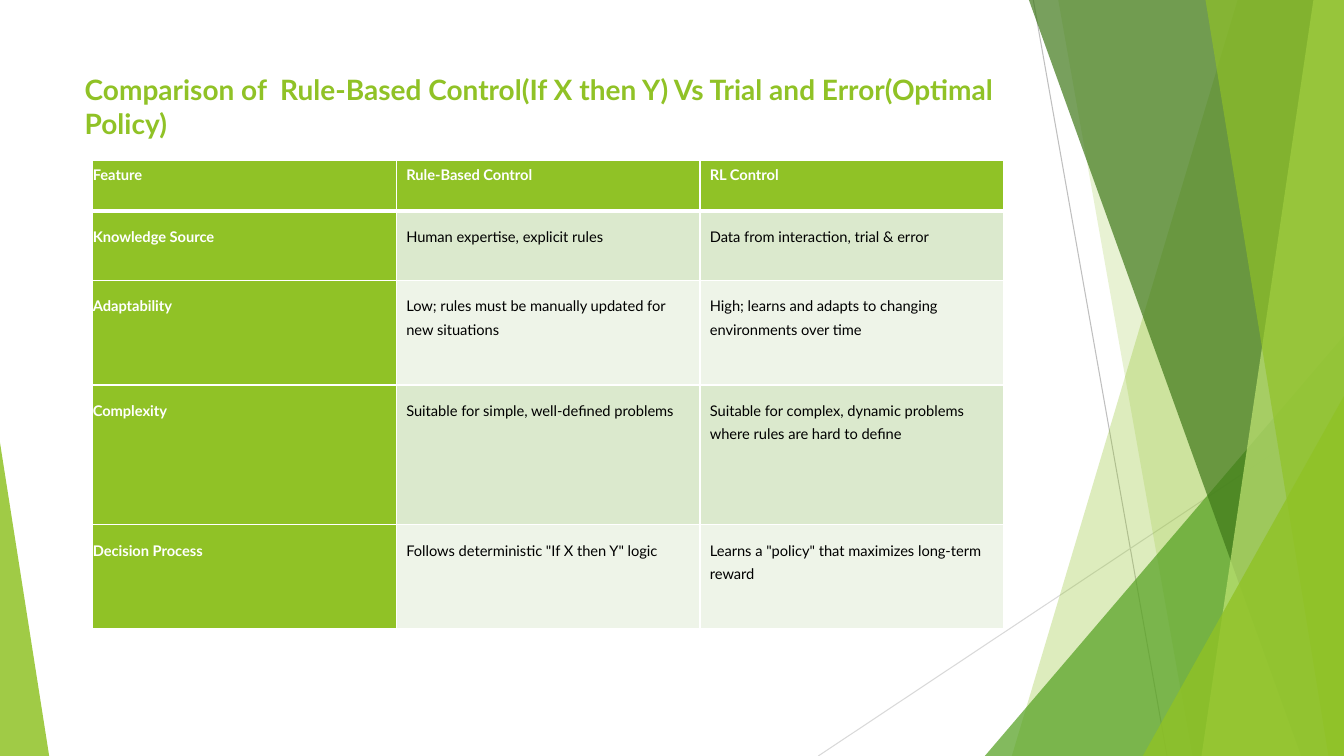
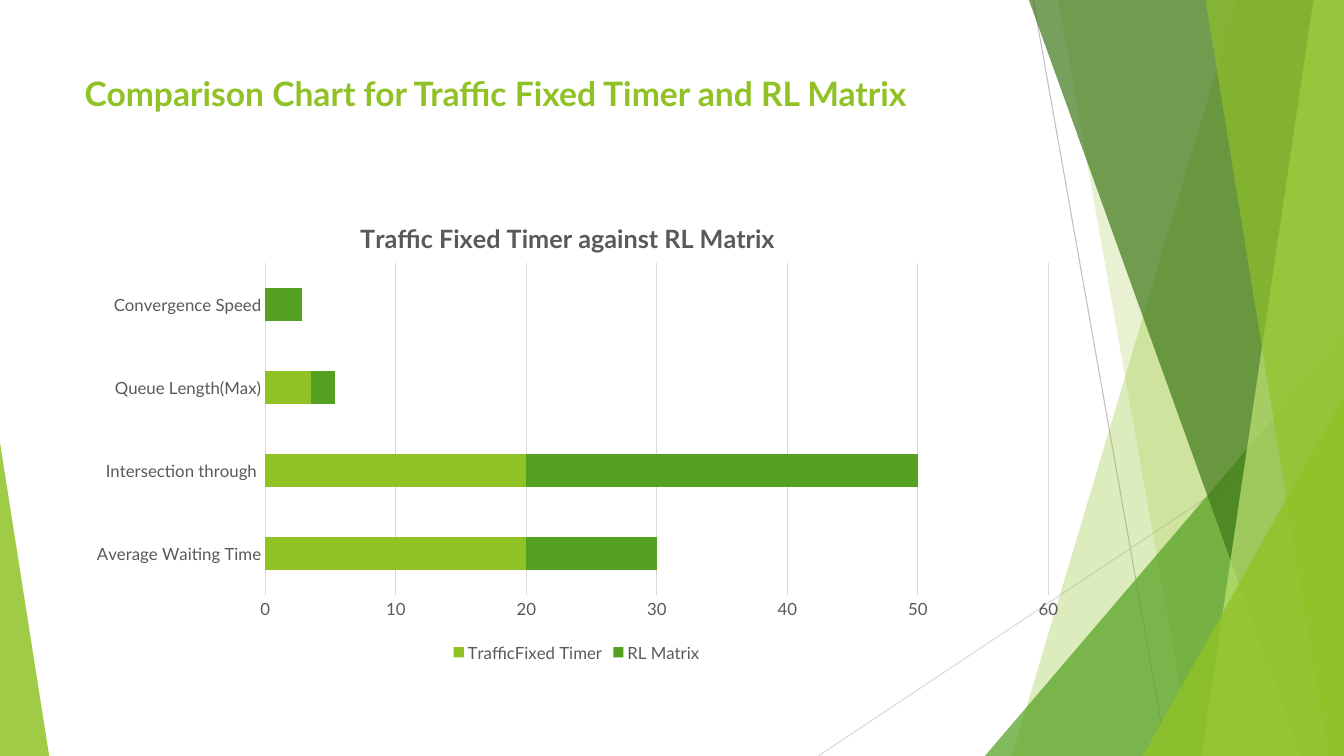
from lxml import etree
from pptx import Presentation
from pptx.chart.data import CategoryChartData
from pptx.dml.color import RGBColor
from pptx.enum.chart import XL_CHART_TYPE, XL_LEGEND_POSITION, XL_TICK_MARK
from pptx.enum.shapes import MSO_CONNECTOR, MSO_SHAPE
from pptx.enum.text import MSO_ANCHOR, MSO_AUTO_SIZE, PP_ALIGN
from pptx.oxml.ns import qn
from pptx.util import Cm, Pt

BAR_STACKED = XL_CHART_TYPE.BAR_STACKED
BOTTOM = XL_LEGEND_POSITION.BOTTOM
NO_TICK = XL_TICK_MARK.NONE
STRAIGHT = MSO_CONNECTOR.STRAIGHT
TRIANGLE = MSO_SHAPE.ISOSCELES_TRIANGLE
TOP = MSO_ANCHOR.TOP
LEFT = PP_ALIGN.LEFT
NO_AUTOFIT = MSO_AUTO_SIZE.NONE


class Theme:
    font = "Lato"
    lime = RGBColor.from_string("90C226")
    green = RGBColor.from_string("54A021")
    forest = RGBColor.from_string("3F7819")
    pale_lime = RGBColor.from_string("C0E474")
    row_dark = RGBColor.from_string("DBE9CD")
    row_light = RGBColor.from_string("EEF4E8")
    white = RGBColor.from_string("FFFFFF")
    black = RGBColor.from_string("000000")
    grey_text = RGBColor.from_string("595959")
    grey_line = RGBColor.from_string("BFBFBF")
    grid = RGBColor.from_string("D9D9D9")
    cell_size = Pt(10.5)
    cell_leading = Pt(16.5)
    axis_size = Pt(12)
    chart_title_size = Pt(18)
    hairline = Pt(0.75)


def set_font(font, size, color, bold=False):
    font.name, font.size, font.bold = Theme.font, size, bold
    font.color.rgb = color


def set_layout(parent, index, **fractions):
    """Place a chart part by fractions of the chart area."""
    for old in parent.findall(qn("c:layout")):
        parent.remove(old)
    layout = etree.Element(qn("c:layout"))
    manual = etree.SubElement(layout, qn("c:manualLayout"))
    for tag, value in fractions.items():
        etree.SubElement(manual, qn(f"c:{tag}"), val=str(value))
    parent.insert(index, layout)


prs = Presentation()
prs.slide_width, prs.slide_height = Cm(33.87), Cm(19.05)
W, H = prs.slide_width, prs.slide_height
layout = prs.slide_layouts[5]

# Titles
TITLES = [
    ("Comparison of  Rule-Based Control(If X then Y) Vs Trial and Error(Optimal Policy)",
     Pt(20), Cm(3.66)),
    ("Comparison Chart for Traffic Fixed Timer and RL Matrix", Pt(24), Cm(2.34)),
]
slides = []
for text, size, height in TITLES:
    s = prs.slides.add_slide(layout)
    title = s.shapes.title
    title.left, title.top, title.width, title.height = Cm(1.88), Cm(1.7), Cm(23.88), height
    tf = title.text_frame
    tf.word_wrap, tf.auto_size, tf.vertical_anchor = True, NO_AUTOFIT, TOP
    p = tf.paragraphs[0]
    p.alignment = LEFT
    r = p.add_run()
    r.text = text
    set_font(r.font, size, Theme.lime, True)
    slides.append(s)
table_slide, chart_slide = slides

# Side decoration, built once and kept on the layout
RAYS = [
    (26.04, 0, 29.41, 19.05, Theme.grey_line),
    (33.87, 10.24, 20.62, 19.05, Theme.grid),
]
# Panels: left edge at top and at bottom; triangles: left, top, width, height, apex
FACETS = [
    ((31.19, 25.5), Theme.lime, 30),
    ((26.67, 30.05), Theme.lime, 20),
    ((24.82, 8.46, 9.05, 10.59, 1), Theme.green, 72),
    ((25.93, 32.79), Theme.forest, 70),
    ((33.1, 30.28), Theme.pale_lime, 70),
    ((30.38, 33.48), Theme.lime, 65),
    ((28.8, 9.98, 5.07, 9.07, 1), Theme.lime, 80),
    ((0, 11.15, 1.24, 7.9, 0), Theme.lime, 85),
]
decor = table_slide.shapes.add_group_shape()
for x1, y1, x2, y2, color in RAYS:
    ray = decor.shapes.add_connector(STRAIGHT, Cm(x1), Cm(y1), Cm(x2), Cm(y2))
    ray.line.color.rgb, ray.line.width = color, Theme.hairline
    etree.SubElement(ray.element.spPr, qn("a:effectLst"))
for geometry, color, opacity in FACETS:
    if len(geometry) == 2:
        top_x, bottom_x = map(Cm, geometry)
        outline = decor.shapes.build_freeform(top_x, 0)
        outline.add_line_segments([(W, 0), (W, H), (bottom_x, H)], close=True)
        facet = outline.convert_to_shape()
    else:
        *box, apex = geometry
        facet = decor.shapes.add_shape(TRIANGLE, *map(Cm, box))
        facet.adjustments[0] = apex
    facet.shadow.inherit = False
    facet.line.fill.background()
    facet.fill.solid()
    facet.fill.fore_color.rgb = color
    tint = facet.element.spPr.xpath("./a:solidFill/a:srgbClr")[0]
    etree.SubElement(tint, qn("a:alpha"), val=str(opacity * 1000))
for number, props in enumerate(decor.element.iter(qn("p:cNvPr")), 100):
    props.set("id", str(number))
layout.element.cSld.spTree.insert(2, decor.element)

# Comparison table
ROWS = [
    ("Feature", "Rule-Based Control", "RL Control"),
    ("Knowledge Source", "Human expertise, explicit rules",
     "Data from interaction, trial & error"),
    ("Adaptability", "Low; rules must be manually updated for new situations",
     "High; learns and adapts to changing environments over time"),
    ("Complexity", "Suitable for simple, well-defined problems",
     "Suitable for complex, dynamic problems where rules are hard to define"),
    ("Decision Process", 'Follows deterministic "If X then Y" logic',
     'Learns a "policy" that maximizes long-term reward'),
]
ROW_HEIGHTS = [1.27, 1.75, 2.64, 3.51, 2.64]
table = table_slide.shapes.add_table(len(ROWS), 3, Cm(2.34), Cm(4.04), Cm(22.95),
                                     Cm(sum(ROW_HEIGHTS))).table
table.horz_banding = False
for col in table.columns:
    col.width = Cm(7.65)
for i, (texts, height) in enumerate(zip(ROWS, ROW_HEIGHTS)):
    table.rows[i].height = Cm(height)
    for j, text in enumerate(texts):
        cell = table.cell(i, j)
        heading = i == 0 or j == 0
        cell.margin_left = Cm(0.25 if j else 0)
        cell.margin_right = Cm(0.25 if j < 2 else 0)
        cell.margin_top = Cm(0.3 if i else 0)
        cell.margin_bottom = Cm(0.3)
        tcPr = cell._tc.get_or_add_tcPr()
        for side in "LRTB":
            thick = (i, side) in ((0, "B"), (1, "T"))
            ln = etree.SubElement(tcPr, qn(f"a:ln{side}"), w=str(Pt(3 if thick else 1)))
            line_fill = etree.SubElement(ln, qn("a:solidFill"))
            etree.SubElement(line_fill, qn("a:srgbClr"), val=str(Theme.white))
        cell.fill.solid()
        band = Theme.row_dark if i % 2 else Theme.row_light
        cell.fill.fore_color.rgb = Theme.lime if heading else band
        p = cell.text_frame.paragraphs[0]
        p.line_spacing = Theme.cell_leading
        r = p.add_run()
        r.text = text
        set_font(r.font, Theme.cell_size, Theme.white if heading else Theme.black, heading)

# Stacked bar chart
data = CategoryChartData()
data.categories = ["Average Waiting Time", "Intersection through ", "Queue Length(Max)",
                   "Convergence Speed"]
data.add_series("TrafficFixed Timer", (20, 20, 3.5, 0))
data.add_series("RL Matrix", (10, 30, 1.8, 2.8))
chart = chart_slide.shapes.add_chart(BAR_STACKED, Cm(1.88), Cm(4.83), Cm(25.3), Cm(11.96),
                                     data).chart
set_font(chart.font, Theme.axis_size, Theme.grey_text)

chart.has_title = True
chart_title = chart.chart_title
r = chart_title.text_frame.paragraphs[0].add_run()
r.text = "Traffic Fixed Timer against RL Matrix"
set_font(r.font, Theme.chart_title_size, Theme.grey_text, True)
set_layout(chart_title._element, 1, xMode="edge", yMode="edge", x=0.28, y=0.05)

chart.has_legend = True
chart.legend.position = BOTTOM
chart.legend.include_in_layout = False
set_font(chart.legend.font, Theme.axis_size, Theme.grey_text)

plot = chart.plots[0]
plot.gap_width, plot.overlap, plot.vary_by_categories = 150, 100, False
for series, color in zip(plot.series, (Theme.lime, Theme.green)):
    series.invert_if_negative = False
    series.format.fill.solid()
    series.format.fill.fore_color.rgb = color
for axis in (chart.category_axis, chart.value_axis):
    axis.major_tick_mark = axis.minor_tick_mark = NO_TICK
    axis.format.line.fill.background()
    set_font(axis.tick_labels.font, Theme.axis_size, Theme.grey_text)
value_axis = chart.value_axis
value_axis.minimum_scale, value_axis.maximum_scale, value_axis.major_unit = 0, 60, 10
value_axis.has_major_gridlines = True
grid_line = value_axis.major_gridlines.format.line
grid_line.color.rgb, grid_line.width = Theme.grid, Theme.hairline
plot_area = chart.element.find(f".//{qn('c:plotArea')}")
set_layout(plot_area, 0, layoutTarget="inner", xMode="edge", yMode="edge",
           x=0.19, y=0.15, w=0.78, h=0.7)

prs.save("out.pptx")
